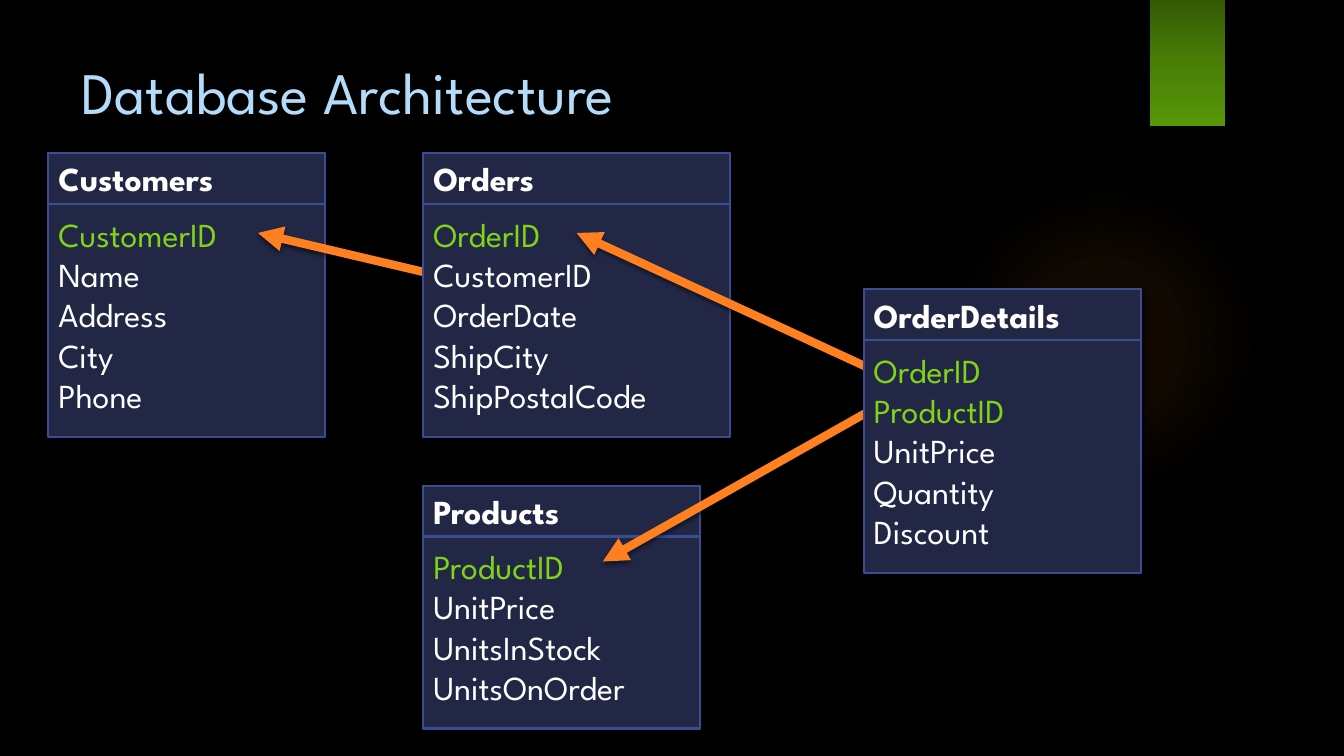
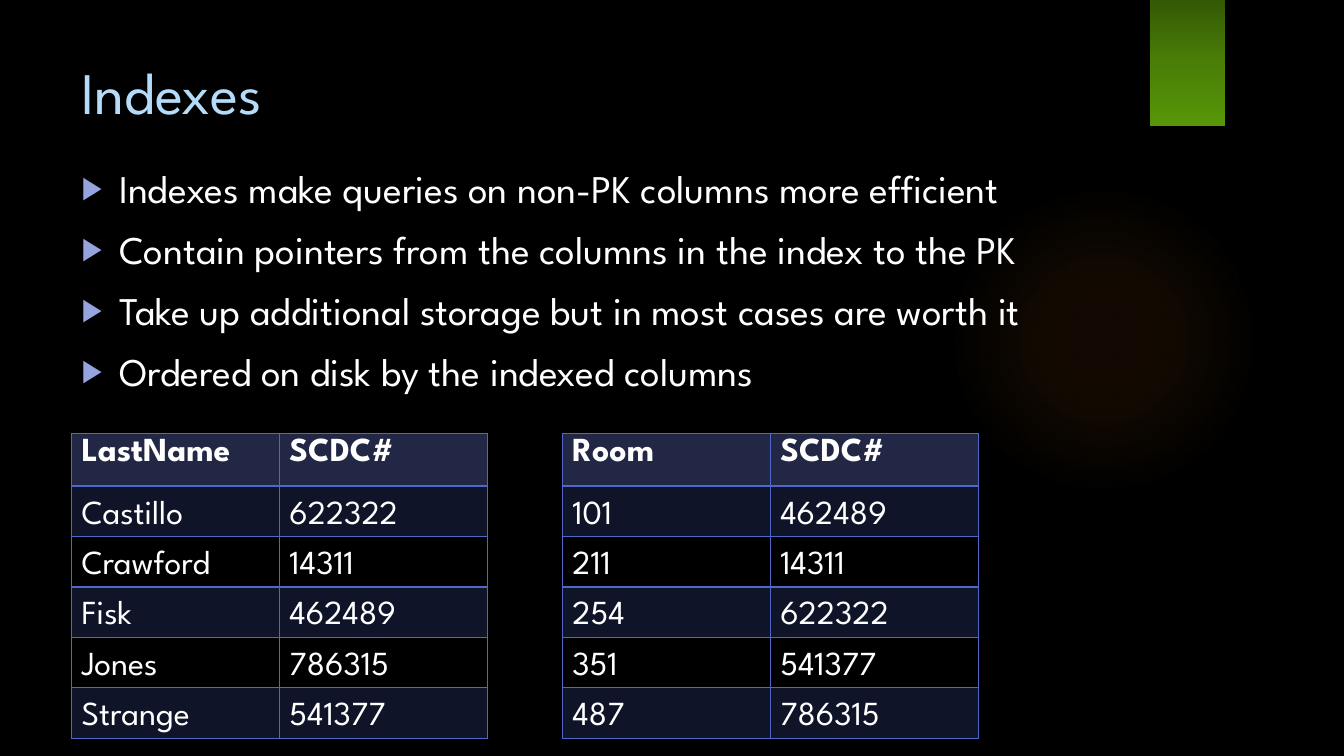
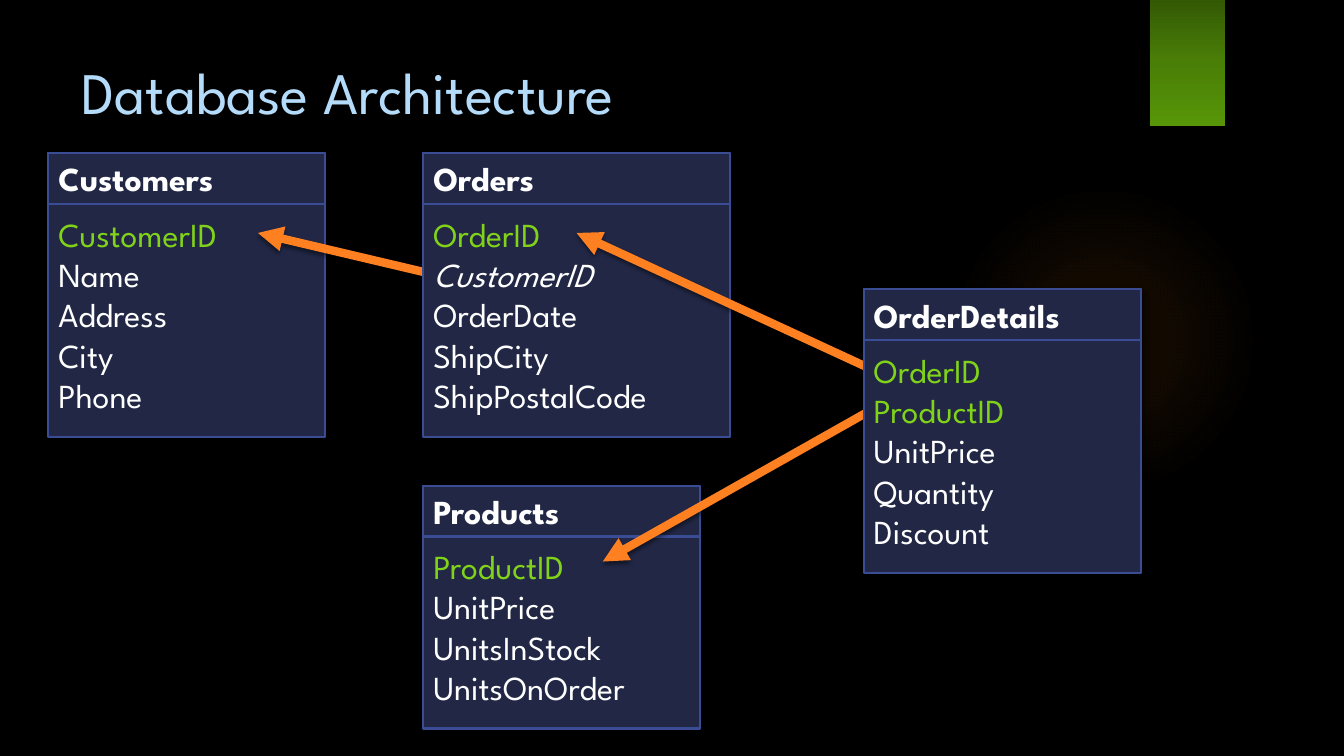
import pptx
import pptx.dml.color
import pptx.enum.shapes
import pptx.enum.text
import pptx.oxml
import pptx.oxml.ns
import pptx.util
from lxml import etree

Cm = pptx.util.Cm
Pt = pptx.util.Pt
SHAPE = pptx.enum.shapes.MSO_SHAPE
ANCHOR = pptx.enum.text.MSO_ANCHOR

FONT = "League Spartan"
BLACK, WHITE, SKY, GREEN, ORANGE = "000000", "FFFFFF", "B4DCFA", "81D31A", "FF8021"
NAVY, OUTLINE, BLUE, BULLET = "212745", "3A4C94", "4E67C8", "95A4DE"

SOFT_SHADOW = dict(alpha=45, blur=3, distance=2, angle=90)
CORNER_SHADOW = dict(alpha=40, blur=4, distance=3, angle=45)

CUSTOMERS = ("Customers", 1.22, 3.86, 6.98, 1, ["CustomerID", "Name", "Address", "City", "Phone"])
PRODUCTS = ("Products", 10.67, 12.24, 6.98, 1,
            ["ProductID", "UnitPrice", "UnitsInStock", "UnitsOnOrder"])
ORDERS = ("Orders", 10.67, 3.86, 7.72, 1,
          ["OrderID", "CustomerID", "OrderDate", "ShipCity", "ShipPostalCode"])
ORDER_DETAILS = ("OrderDetails", 21.77, 7.29, 6.98, 2,
                 ["OrderID", "ProductID", "UnitPrice", "Quantity", "Discount"])

INDEX_FACTS = [
    "Indexes make queries on non-PK columns more efficient",
    "Contain pointers from the columns in the index to the PK",
    "Take up additional storage but in most cases are worth it",
    "Ordered on disk by the indexed columns",
]
NAME_INDEX = [("LastName", "SCDC#"), ("Castillo", "622322"), ("Crawford", "14311"),
              ("Fisk", "462489"), ("Jones", "786315"), ("Strange", "541377")]
ROOM_INDEX = [("Room", "SCDC#"), ("101", "462489"), ("211", "14311"),
              ("254", "622322"), ("351", "541377"), ("487", "786315")]


def rgb(color):
    """Turn a hex string into a colour."""
    return pptx.dml.color.RGBColor.from_string(color)


def add_xml(parent, tag, **attributes):
    """Append a drawing element and return it."""
    child = etree.SubElement(parent, pptx.oxml.ns.qn("a:" + tag))
    for name, value in attributes.items():
        child.set(name, str(value))
    return child


def add_color(parent, color, alpha=100):
    """Append a colour, translucent when alpha is below 100."""
    node = add_xml(parent, "srgbClr", val=color)
    if alpha < 100:
        add_xml(node, "alpha", val=alpha * 1000)


def set_font(paragraph, size, color, bold=False, italic=False):
    """Set the font of a paragraph, aligned left."""
    paragraph.alignment = pptx.enum.text.PP_ALIGN.LEFT
    font = paragraph.font
    font.name, font.size, font.bold, font.italic = FONT, Pt(size), bold, italic
    font.color.rgb = rgb(color)


def place(shape, left, top, width, height):
    """Move and size a shape in centimetres."""
    shape.left, shape.top, shape.width, shape.height = map(Cm, (left, top, width, height))


def add_shadow(properties, alpha, blur, distance, angle):
    """Give shape properties an outer shadow."""
    effects = properties.find(pptx.oxml.ns.qn("a:effectLst"))
    if effects is None:
        effects = add_xml(properties, "effectLst")
    shadow = add_xml(effects, "outerShdw", blurRad=Pt(blur), dist=Pt(distance),
                     dir=angle * 60000, algn="ctr", rotWithShape=0)
    add_color(shadow, BLACK, alpha)


def add_plain_shape(shapes, kind, left, top, width, height):
    """Add a shape without shadow, fill or line."""
    shape = shapes.add_shape(kind, *map(Cm, (left, top, width, height)))
    shape.shadow.inherit = False
    shape.fill.background()
    shape.line.fill.background()
    return shape


def set_gradient(shape, stops, radial=False):
    """Fill a shape with a radial or downward gradient."""
    empty_fill = shape.element.spPr.find(pptx.oxml.ns.qn("a:noFill"))
    gradient = etree.Element(pptx.oxml.ns.qn("a:gradFill"), rotWithShape="1")
    stop_list = add_xml(gradient, "gsLst")
    for position, color, alpha in stops:
        add_color(add_xml(stop_list, "gs", pos=position * 1000), color, alpha)
    if radial:
        circle = add_xml(gradient, "path", path="circle")
        add_xml(circle, "fillToRect", l=50000, t=50000, r=50000, b=50000)
    else:
        add_xml(gradient, "lin", ang=90 * 60000, scaled=0)
    shape.element.spPr.replace(empty_fill, gradient)


def decorate_master(deck, slide):
    """Put the black background, glow and green tab on the slide master."""
    master = deck.slide_master
    master.background.fill.solid()
    master.background.fill.fore_color.rgb = rgb(BLACK)
    glow = add_plain_shape(slide.shapes, SHAPE.OVAL, 23.9, 4.65, 7.82, 7.82)
    set_gradient(glow, [(0, ORANGE, 7), (36, ORANGE, 6), (69, ORANGE, 0)], radial=True)
    tab = add_plain_shape(slide.shapes, SHAPE.RECTANGLE, 28.98, 0, 1.9, 3.18)
    set_gradient(tab, [(0, "345905", 100), (50, "4A7F07", 100), (100, "579608", 100)])
    add_shadow(tab.element.spPr, **SOFT_SHADOW)
    for offset, shape in enumerate((glow, tab)):
        shape.element.nvSpPr.cNvPr.set("id", str(100 + offset))
        master.shapes.element.insert(2 + offset, shape.element)


def add_slide(deck, layout, heading):
    """Add a slide with its heading."""
    slide = deck.slides.add_slide(deck.slide_layouts.get_by_name(layout))
    title = slide.shapes.title
    place(title, 1.8, 1.27, 26.14, 2.06)
    title.text_frame.text = heading
    set_font(title.text_frame.paragraphs[0], 42, SKY)
    return slide


def add_panel(group, left, top, width, height, anchor):
    """Add one outlined navy rectangle of an entity."""
    panel = add_plain_shape(group.shapes, SHAPE.RECTANGLE, left, top, width, height)
    panel.fill.solid()
    panel.fill.fore_color.rgb = rgb(NAVY)
    panel.line.color.rgb = rgb(OUTLINE)
    panel.line.width = Pt(1.5)
    panel.text_frame.vertical_anchor = anchor
    return panel


def add_entity(slide, entity, italic_field=None):
    """Add a database entity with green key fields."""
    name, left, top, width, key_count, fields = entity
    group = slide.shapes.add_group_shape()
    body = add_panel(group, left, top, width, 1.96 + 1.04 * len(fields), ANCHOR.TOP)
    add_shadow(body.element.spPr, **CORNER_SHADOW)
    body.text_frame.margin_top = Cm(1.52)
    body.text_frame.text = "\n".join(fields)
    for number, paragraph in enumerate(body.text_frame.paragraphs):
        color = GREEN if number < key_count else WHITE
        set_font(paragraph, 24, color, italic=paragraph.text == italic_field)
    header = add_panel(group, left, top, width, 1.28, ANCHOR.MIDDLE)
    header.text_frame.text = name
    set_font(header.text_frame.paragraphs[0], 24, WHITE, bold=True)


def add_arrow(slide, *ends):
    """Add a thick orange arrow between two points."""
    arrow = slide.shapes.add_connector(pptx.enum.shapes.MSO_CONNECTOR.STRAIGHT, *map(Cm, ends))
    arrow.line.color.rgb = rgb(ORANGE)
    arrow.line.width = Pt(6)
    add_xml(arrow.line._get_or_add_ln(), "tailEnd", type="triangle")
    add_shadow(arrow.element.spPr, **SOFT_SHADOW)


def add_architecture(slide, italic_field=None):
    """Draw the four entities and their relations."""
    add_entity(slide, CUSTOMERS)
    add_entity(slide, PRODUCTS)
    add_arrow(slide, 11, 6.93, 6.5, 5.87)
    add_entity(slide, ORDERS, italic_field)
    add_arrow(slide, 22.17, 9.4, 14.53, 5.87)
    add_arrow(slide, 22.17, 10.21, 15.19, 14.15)
    add_entity(slide, ORDER_DETAILS)


def add_bullets(slide, facts):
    """Fill the body placeholder with bulleted facts."""
    body = slide.placeholders[1]
    place(body, 1.8, 4.01, 31.8, 14.58)
    body.text_frame.text = "\n".join(facts)
    for number, paragraph in enumerate(body.text_frame.paragraphs):
        paragraph.space_before = Pt(10 if number else 0)
        properties = paragraph._p.get_or_add_pPr()
        properties.set("marL", str(Cm(0.95)))
        properties.set("indent", str(-Cm(0.95)))
        add_color(add_xml(properties, "buClr"), BULLET)
        add_xml(properties, "buSzPct", val=80000)
        add_xml(properties, "buFont", typeface="Arial")
        add_xml(properties, "buChar", char="▶")
        set_font(paragraph, 28, WHITE)


def format_cell(cell, row):
    """Style an index cell by its row number."""
    is_header = row == 0
    cell.vertical_anchor = ANCHOR.TOP if is_header else ANCHOR.BOTTOM
    set_font(cell.text_frame.paragraphs[0], 24, WHITE, bold=is_header)
    properties = cell._tc.get_or_add_tcPr()
    for side in "LRTB":
        heavy = (row, side) in ((0, "B"), (1, "T"))
        border = add_xml(properties, "ln" + side, w=Pt(2 if heavy else 1))
        add_color(add_xml(border, "solidFill"), BLUE)
    if is_header:
        add_color(add_xml(properties, "solidFill"), NAVY)
    elif row % 2:
        add_color(add_xml(properties, "solidFill"), BLUE, 20)
    else:
        add_xml(properties, "noFill")


def add_index(slide, left, entries):
    """Add a two-column index table."""
    frame = slide.shapes.add_table(len(entries), 2, Cm(left), Cm(10.92), Cm(10.48), Cm(7.68))
    table = frame.table
    table.horz_banding = False
    for column in table.columns:
        column.width = Cm(5.24)
    for row, entry in enumerate(entries):
        table.rows[row].height = Cm(1.27 if row else 1.33)
        for column, value in enumerate(entry):
            cell = table.cell(row, column)
            cell.text = value
            format_cell(cell, row)


def main():
    """Build and save the presentation."""
    deck = pptx.Presentation()
    deck.slide_width, deck.slide_height = Cm(33.87), Cm(19.05)

    architecture = add_slide(deck, "Title Only", "Database Architecture")
    decorate_master(deck, architecture)
    add_architecture(architecture)

    indexes = add_slide(deck, "Title and Content", "Indexes")
    add_bullets(indexes, INDEX_FACTS)
    add_index(indexes, 1.8, NAME_INDEX)
    add_index(indexes, 14.17, ROOM_INDEX)

    foreign_key = add_slide(deck, "Title Only", "Database Architecture")
    add_architecture(foreign_key, italic_field="CustomerID")

    deck.save("out.pptx")


if __name__ == "__main__":
    main()
